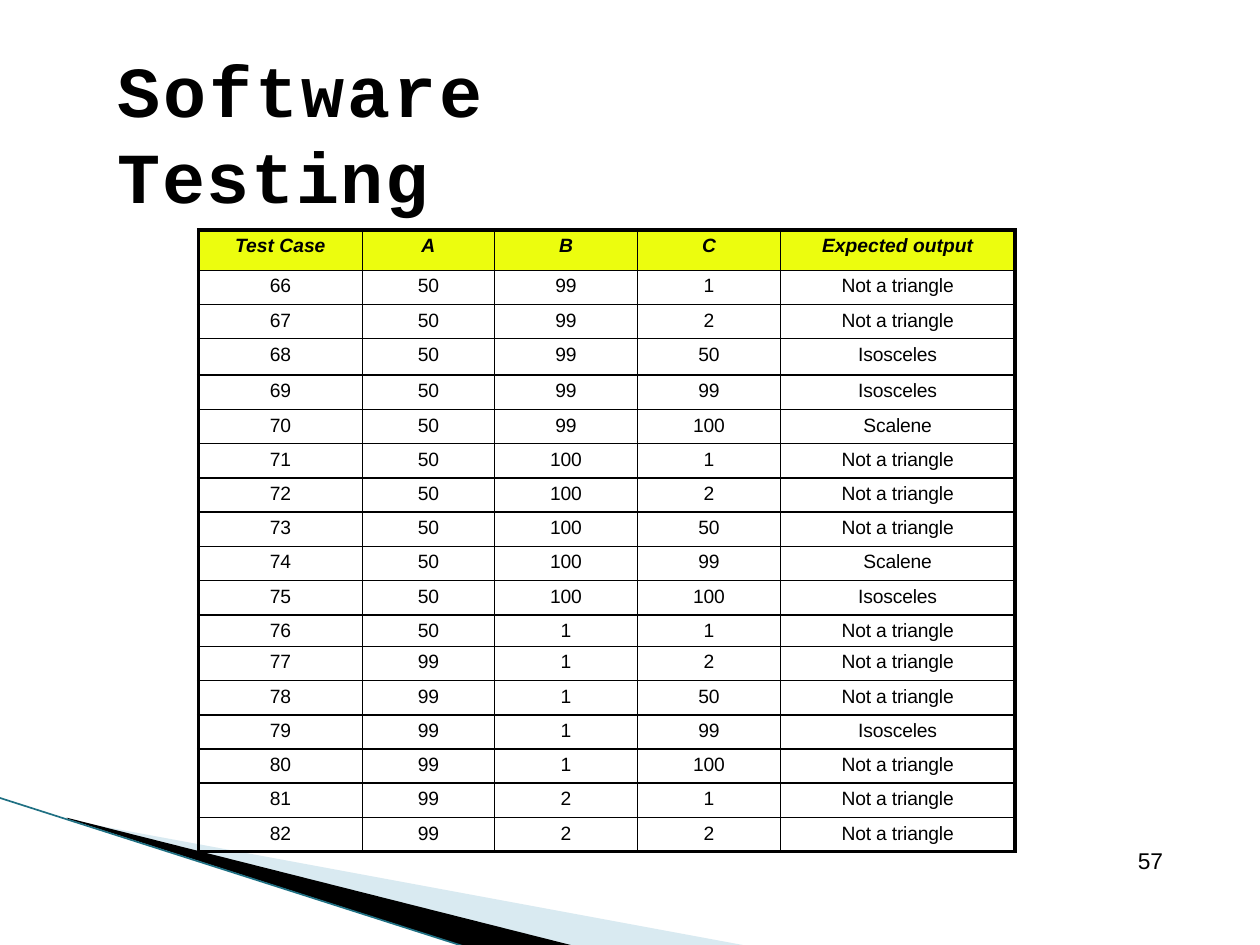
from dataclasses import dataclass
from typing import NamedTuple

from lxml import etree
from pptx import Presentation, util as u
from pptx.dml.color import RGBColor
from pptx.enum import shapes, text
from pptx.oxml import ns


@dataclass(frozen=True)
class Theme:
    ink: str = "000000"
    header: str = "ECFD0E"
    pale: str = "A0CBDC"
    edge: str = "1F7083"
    title_font: str = "Courier New"
    body_font: str = "Arial"
    title_size: float = 41
    table_size: float = 11
    page_size: float = 13
    leading: float = 15.2
    thin: float = 1
    thick: float = 2.25
    edge_width: float = 0.95


class Box(NamedTuple):
    left: float
    top: float
    width: float
    height: float


class Case(NamedTuple):
    a: int
    b: int
    c: int
    output: str


class Wedge(NamedTuple):
    frame: Box
    points: list
    color: str
    opacity: int


THEME = Theme()
COLS, ROWS = 100, 75
NOT, ISO, SCA = "Not a triangle", "Isosceles", "Scalene"
HEADERS = ["Test Case", "A", "B", "C", "Expected output"]
FIRST_CASE = 66
CASES = [
    Case(50, 99, 1, NOT), Case(50, 99, 2, NOT), Case(50, 99, 50, ISO),
    Case(50, 99, 99, ISO), Case(50, 99, 100, SCA), Case(50, 100, 1, NOT),
    Case(50, 100, 2, NOT), Case(50, 100, 50, NOT), Case(50, 100, 99, SCA),
    Case(50, 100, 100, ISO), Case(50, 1, 1, NOT), Case(99, 1, 2, NOT),
    Case(99, 1, 50, NOT), Case(99, 1, 99, ISO), Case(99, 1, 100, NOT),
    Case(99, 2, 1, NOT), Case(99, 2, 2, NOT),
]
TITLE = Box(9.2, 6.9, 56.2, 7)
TABLE = Box(15.75, 18.25, 64.8, 49.4)
PAGE = Box(89.9, 67.55, 2.7, 1.8)
COL_WIDTHS = [13, 10.5, 11.35, 11.35, 18.6]
ODD_ROWS = {0: 3.2, 3: 2.9, 11: 2.5}
WEDGES = [
    Wedge(Box(7.8, 54.7, 41.6, 15.8),
          [(5.5, 65.1), (59.5, 75.1), (45.6, 75.1), (5.5, 65)], THEME.pale, 40),
    Wedge(Box(-0.6, 63.3, 41.6, 9.2),
          [(5.3, 64.9), (45.7, 75.1), (37.2, 75.2), (5.4, 65)], THEME.ink, 100),
]

prs = Presentation()
prs.slide_width, prs.slide_height = u.Inches(10), u.Inches(7.5)


def x(cols: float) -> int:
    return round(prs.slide_width * cols / COLS)


def y(rows: float) -> int:
    return round(prs.slide_height * rows / ROWS)


def place(box: Box) -> tuple:
    return x(box.left), y(box.top), x(box.width), y(box.height)


def rgb(color: str) -> RGBColor:
    return RGBColor.from_string(color)


def write(p, content: str, *, size: float, font: str = THEME.body_font,
          bold: bool = False, italic: bool = False, spacing: float = 0) -> None:
    r = p.add_run()
    r.text = content
    r.font.size, r.font.name = u.Pt(size), font
    r.font.bold, r.font.italic = bold, italic
    r.font.color.rgb = rgb(THEME.ink)
    r._r.get_or_add_rPr().set("spc", str(round(spacing * 100)))


def clear_margins(tf) -> None:
    tf.margin_left = tf.margin_top = tf.margin_right = tf.margin_bottom = 0


def set_frame(sp, frame: Box) -> None:
    left, top, width, height = place(frame)
    dx, dy = sp.left - left, sp.top - top
    outline = sp._element.spPr.find(".//" + ns.qn("a:path"))
    outline.set("w", str(width))
    outline.set("h", str(height))
    for pt in outline.iter(ns.qn("a:pt")):
        pt.set("x", str(int(pt.get("x")) + dx))
        pt.set("y", str(int(pt.get("y")) + dy))
    sp.left, sp.top, sp.width, sp.height = left, top, width, height


def add_wedge(s, wedge: Wedge) -> None:
    points = [(x(a), y(b)) for a, b in wedge.points]
    builder = s.shapes.build_freeform(*points[0])
    builder.add_line_segments(points[1:], close=True)
    sp = builder.convert_to_shape()
    set_frame(sp, wedge.frame)
    sp.shadow.inherit = False
    sp.line.fill.background()
    sp.fill.solid()
    sp.fill.fore_color.rgb = rgb(wedge.color)
    if wedge.opacity < 100:
        clr = sp._element.spPr.find(".//" + ns.qn("a:srgbClr"))
        etree.SubElement(clr, ns.qn("a:alpha"), val=str(wedge.opacity * 1000))


def add_edge(s) -> None:
    line = s.shapes.add_connector(
        shapes.MSO_CONNECTOR.STRAIGHT, x(-0.1), y(63.3), x(37.1), y(75.2))
    line.line.color.rgb = rgb(THEME.edge)
    line.line.width = u.Pt(THEME.edge_width)
    etree.SubElement(line._element.spPr, ns.qn("a:effectLst"))


def add_title(s) -> None:
    sp = s.shapes.title
    sp.left, sp.top, sp.width, sp.height = place(TITLE)
    tf = sp.text_frame
    clear_margins(tf)
    tf.margin_left, tf.margin_top = x(0.15), y(0.1)
    tf.word_wrap = True
    tf.auto_size = text.MSO_AUTO_SIZE.SHAPE_TO_FIT_TEXT
    tf.vertical_anchor = text.MSO_ANCHOR.MIDDLE
    p = tf.paragraphs[0]
    p.alignment = text.PP_ALIGN.LEFT
    p.line_spacing = 1.0
    for word, spacing in (("Software ", 1.7), ("Testing", 0.9)):
        write(p, word, size=THEME.title_size, font=THEME.title_font,
              bold=True, spacing=spacing)


def set_borders(cell, widths: dict) -> None:
    tcPr = cell._tc.get_or_add_tcPr()
    for i, side in enumerate("LRTB"):
        ln = etree.Element(ns.qn(f"a:ln{side}"), w=str(u.Pt(widths[side])))
        fill = etree.SubElement(ln, ns.qn("a:solidFill"))
        etree.SubElement(fill, ns.qn("a:srgbClr"), val=THEME.ink)
        tcPr.insert(i, ln)


def fill_cell(cell, content: str, header: bool) -> None:
    clear_margins(cell)
    if header:
        cell.fill.solid()
        cell.fill.fore_color.rgb = rgb(THEME.header)
    else:
        cell.fill.background()
    p = cell.text_frame.paragraphs[0]
    p.alignment = text.PP_ALIGN.CENTER
    p.line_spacing = u.Pt(THEME.leading)
    write(p, content, size=THEME.table_size, bold=header, italic=header,
          spacing=0 if header else -0.1)


def add_cases(s) -> None:
    data = [HEADERS] + [[n, *case] for n, case in enumerate(CASES, FIRST_CASE)]
    last_row, last_col = len(data) - 1, len(HEADERS) - 1
    table = s.shapes.add_table(len(data), len(HEADERS), *place(TABLE)).table
    table.horz_banding = table.first_row = False
    for col, width in zip(table.columns, COL_WIDTHS):
        col.width = x(width)
    regular = (TABLE.height - sum(ODD_ROWS.values())) / (len(data) - len(ODD_ROWS))
    for i, values in enumerate(data):
        table.rows[i].height = y(ODD_ROWS.get(i, regular))
        for j, value in enumerate(values):
            cell = table.cell(i, j)
            fill_cell(cell, str(value), header=i == 0)
            outer = {"L": j == 0, "R": j == last_col, "T": i == 0, "B": i == last_row}
            set_borders(cell, {side: THEME.thick if out else THEME.thin
                               for side, out in outer.items()})


def add_page_number(s) -> None:
    tf = s.shapes.add_textbox(*place(PAGE)).text_frame
    clear_margins(tf)
    tf.margin_left = x(0.4)
    tf.word_wrap = True
    p = tf.paragraphs[0]
    p.line_spacing = u.Pt(13.2)
    write(p, "57", size=THEME.page_size)


s = prs.slides.add_slide(prs.slide_layouts[5])
for wedge in WEDGES:
    add_wedge(s, wedge)
add_edge(s)
add_title(s)
add_cases(s)
add_page_number(s)
prs.save("out.pptx")
